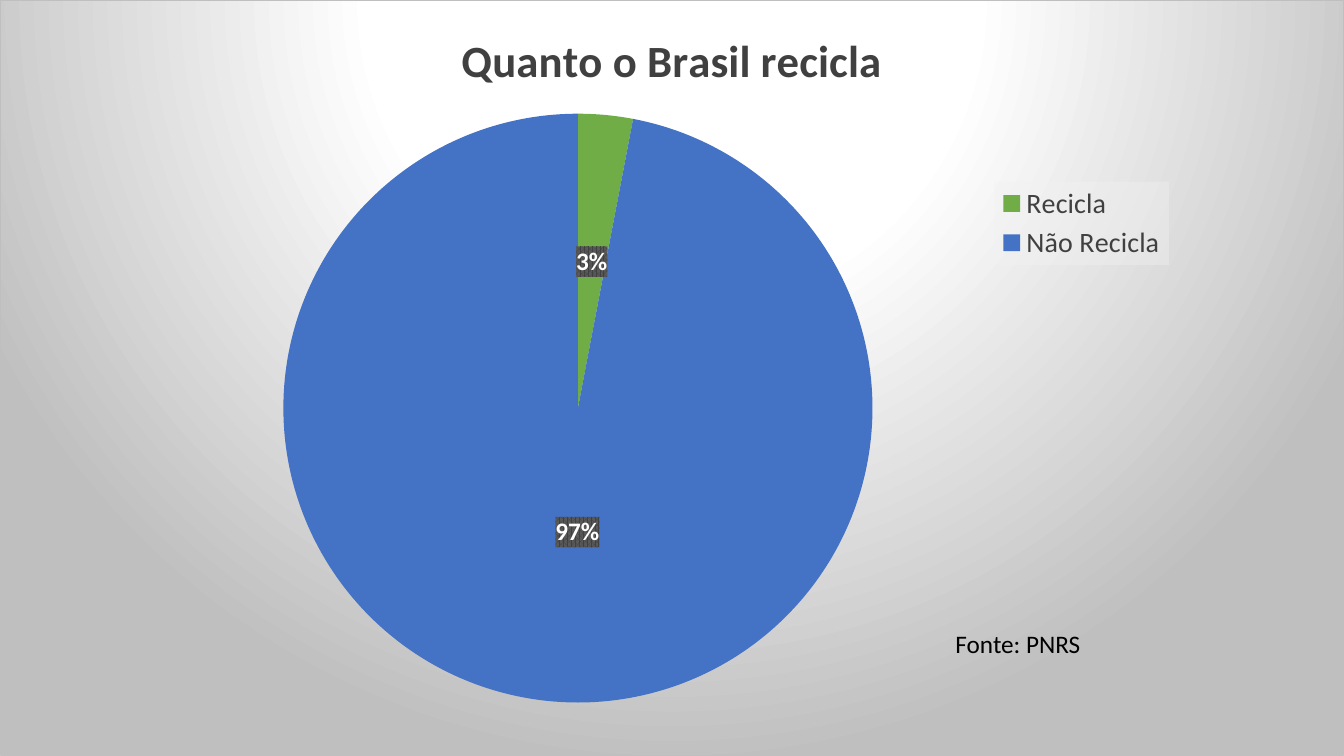
"""Build a slide with a pie chart of how much Brazil recycles."""
from copy import deepcopy

from lxml import etree
from pptx import Presentation
from pptx.chart.data import CategoryChartData
from pptx.dml.color import RGBColor
from pptx.enum.chart import XL_CHART_TYPE as CT, XL_LABEL_POSITION as LP, XL_LEGEND_POSITION as LG
from pptx.oxml import parse_xml
from pptx.oxml.ns import nsdecls, qn
from pptx.util import Cm, Pt

TITLE = "Quanto o Brasil recicla"
SOURCE = "Fonte: PNRS"
SLICES = [("Recicla", 3, "70AD47"), ("Não Recicla", 97, "4472C4")]
STOPS = [(0, "FFFFFF"), (39, "FFFFFF"), (100, "BFBFBF")]
PIE_AREA = dict(x=0.21, y=0.15, w=0.44, h=0.78)
LEGEND_AREA = dict(x=0.74, y=0.24, w=0.13, h=0.11)
LABEL_SHIFT = dict(x=0.01, y=-0.03)
FONT = "Calibri"


def rgb(color):
    return RGBColor.from_string(color)


def style(font, size, color, bold=False):
    font.name, font.size, font.bold = FONT, Pt(size), bold
    font.color.rgb = rgb(color)


def clr(color, extra=""):
    return f'<a:srgbClr val="{color}">{extra}</a:srgbClr>'


def sp_pr(inner):
    return parse_xml(f'<c:spPr {nsdecls("c", "a")}>{inner}</c:spPr>')


def layout(area, inner=False):
    target = '<c:layoutTarget val="inner"/>' if inner else ""
    modes = "".join(f'<c:{k}Mode val="edge"/>' for k in "xy") if "w" in area else ""
    sizes = "".join(f'<c:{k} val="{v}"/>' for k, v in area.items())
    return parse_xml(f'<c:layout {nsdecls("c")}><c:manualLayout>{target}{modes}{sizes}'
                     '</c:manualLayout></c:layout>')


def place(el, new, index):
    for old in el.findall(qn("c:layout")):
        el.remove(old)
    el.insert(index, new)


prs = Presentation()
prs.slide_width, prs.slide_height = Cm(33.87), Cm(19.05)
s = prs.slides.add_slide(prs.slide_layouts[6])

data = CategoryChartData()
data.categories = [name for name, _, _ in SLICES]
data.add_series("Series 1", [value for _, value, _ in SLICES])
chart = s.shapes.add_chart(CT.PIE, 0, 0, prs.slide_width, prs.slide_height, data).chart
style(chart.font, 10, "000000")

chart.has_title = True
p = chart.chart_title.text_frame.paragraphs[0]
p.text = TITLE
style(p.font, 32, "404040", True)
chart.chart_title.include_in_layout = False

chart.has_legend = True
legend = chart.legend
legend.position, legend.include_in_layout = LG.RIGHT, False
style(legend.font, 20, "404040")
cs = chart.element
leg = cs.find(".//" + qn("c:legend"))
place(leg, layout(LEGEND_AREA), 1)
leg.find(qn("c:overlay")).addnext(
    sp_pr(f'<a:solidFill>{clr("F2F2F2", "<a:alpha val=" + chr(34) + "39000" + chr(34) + "/>")}</a:solidFill>'))
place(cs.find(".//" + qn("c:plotArea")), layout(PIE_AREA, True), 0)

plot = chart.plots[0]
plot.vary_by_categories = True
series = plot.series[0]
for i, (_, _, color) in enumerate(SLICES):
    fill = series.points[i].format.fill
    fill.solid()
    fill.fore_color.rgb = rgb(color)

labels = series.data_labels
labels.show_value, labels.show_percentage = False, True
labels.number_format, labels.number_format_is_linked = "0%", False
labels.position = LP.CENTER
style(labels.font, 18, "FFFFFF", True)
d = cs.find(".//" + qn("c:ser")).find(qn("c:dLbls"))
d.find(qn("c:numFmt")).addnext(sp_pr(
    f'<a:pattFill prst="pct75"><a:fgClr>{clr("404040")}</a:fgClr>'
    f'<a:bgClr>{clr("595959")}</a:bgClr></a:pattFill>'))
shifted = parse_xml(f'<c:dLbl {nsdecls("c")}><c:idx val="1"/></c:dLbl>')
shifted.append(layout(LABEL_SHIFT))
for el in d:
    if etree.QName(el).localname != "showLeaderLines":
        shifted.append(deepcopy(el))
d.insert(0, shifted)

stops = "".join(f'<a:gs pos="{pos * 1000}">{clr(color)}</a:gs>' for pos, color in STOPS)
cs.find(qn("c:chart")).addnext(sp_pr(
    f'<a:gradFill><a:gsLst>{stops}</a:gsLst><a:path path="circle">'
    '<a:fillToRect l="50000" t="-80000" r="50000" b="180000"/></a:path></a:gradFill>'
    f'<a:ln w="9525"><a:solidFill>{clr("BFBFBF")}</a:solidFill></a:ln>'))

tf = s.shapes.add_textbox(Cm(23.83), Cm(15.7), Cm(3.99), Cm(1.02)).text_frame
tf.word_wrap = True
p = tf.paragraphs[0]
p.text = SOURCE
style(p.font, 18, "000000")

prs.save("out.pptx")
